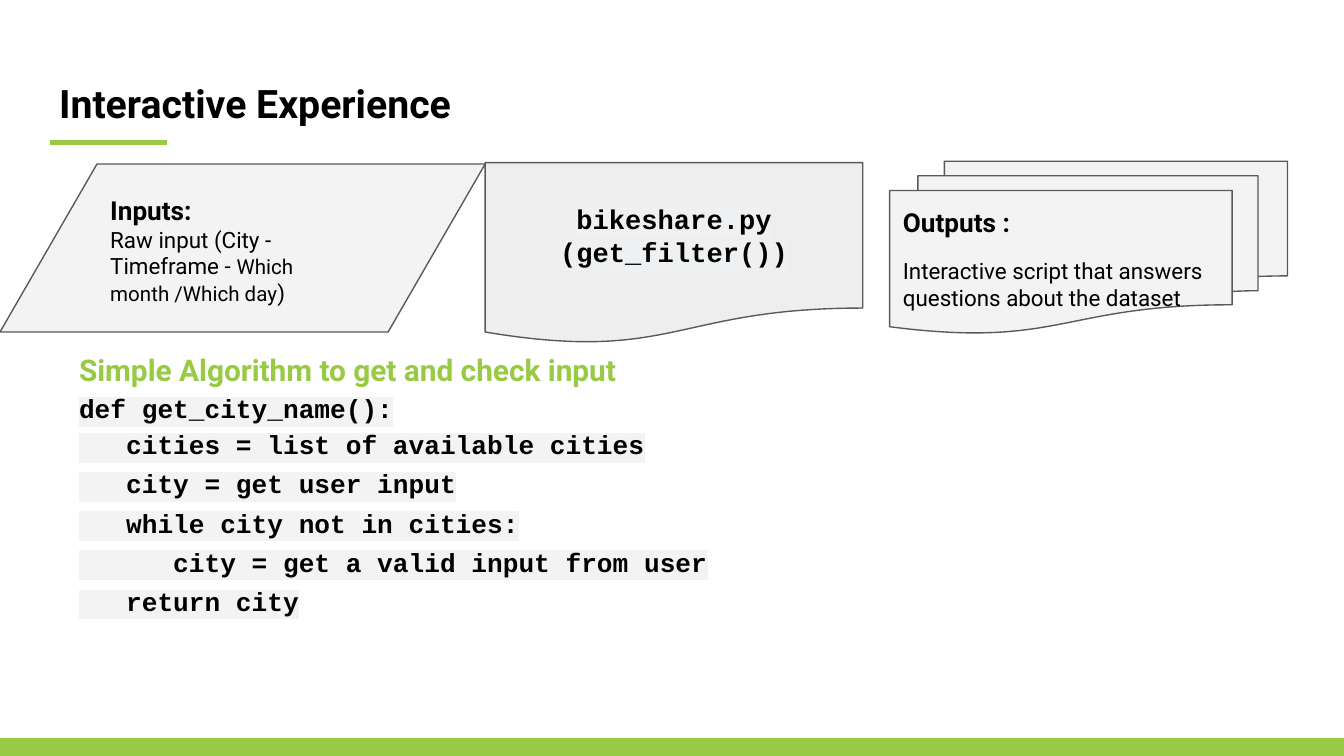
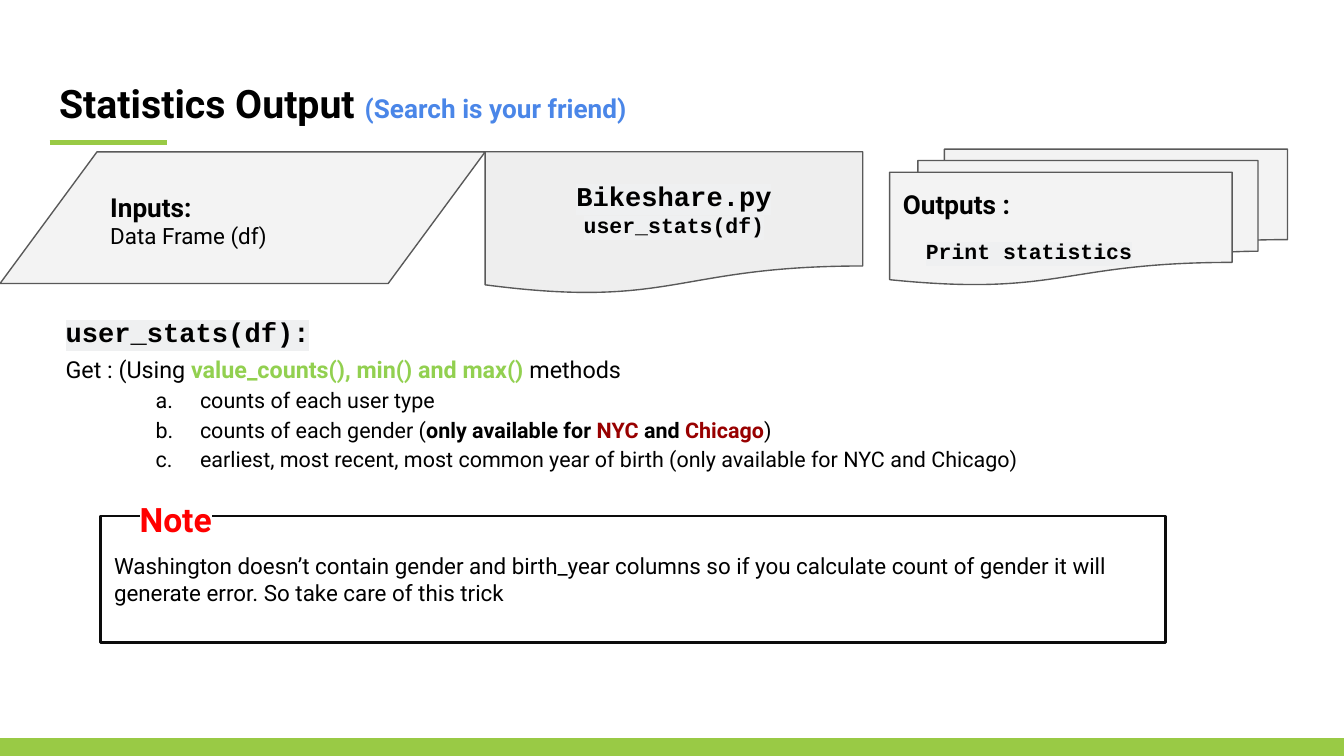
"""Builds two slides on an interactive bike share script and its statistics output."""
from dataclasses import dataclass
from typing import NamedTuple

from lxml.etree import SubElement
from pptx import Presentation
from pptx.dml.color import RGBColor
from pptx.enum.shapes import MSO_CONNECTOR, MSO_SHAPE
from pptx.enum.text import MSO_ANCHOR as Anchor, MSO_AUTO_SIZE, PP_ALIGN as Align
from pptx.oxml.ns import qn
from pptx.util import Inches, Pt


class Style(NamedTuple):
    size: float
    color: str = "000000"
    bold: bool = False
    font: str = "Roboto"
    highlight: str = ""


class Theme:
    green, white, pale, grey = "99CA45", "FFFFFF", "F3F3F3", "EEEEEE"
    outline, frame, black = "595959", "0C0C0C", "000000"
    red, mono, code_back = "980000", "Courier New", "EFF0F1"
    title = Style(21, bold=True)
    aside = Style(14, "4A86E8", True)
    label = Style(14, bold=True)
    body = Style(12)
    small = Style(11)
    heading = Style(16, green, True)
    code = Style(14, black, True, mono, pale)
    script = Style(14.5, black, True, mono, code_back)
    call = Style(11.5, black, True, mono, code_back)
    intro = Style(12.5, highlight=white)
    methods = Style(12.5, "92D050", True, highlight=white)
    item = Style(11.5, highlight=white)
    strong = item._replace(bold=True)
    city = strong._replace(color=red)
    note = Style(18, "FF0000", True, highlight=white)


@dataclass
class Line:
    runs: list
    spacing: float = 1.0
    before: float = 0
    indent: float = 0
    numbered: bool = False
    align: Align = Align.LEFT


def line(text, style, **options):
    return Line([(text, style)], **options)


def item(*runs):
    return Line(list(runs), spacing=1.15, indent=1, numbered=True)


INPUTS = line("Inputs:", Theme.label, spacing=1.15)
OUTPUTS = line("Outputs :", Theme.label)

INTERACTIVE = {
    "title": Line([("Interactive Experience", Theme.title)]),
    "flow": {
        "outputs": (1.2, 1.28, [
            OUTPUTS,
            line("Interactive script that answers questions about the dataset", Theme.body, before=10),
        ]),
        "inputs": (1.22, 1.25, [
            INPUTS,
            Line([("Raw input (City - Timeframe - ", Theme.body),
                  ("Which month /Which day", Theme.small), (")", Theme.body)]),
        ]),
        "script": (1.21, 1.35, [
            line("bikeshare.py", Theme.script, align=Align.CENTER),
            line("(get_filter())", Theme.script, align=Align.CENTER),
        ]),
    },
    "text_box": (0.49, 2.48, 9.17, 2.23),
    "text": [
        line("Simple Algorithm to get and check input", Theme.heading, spacing=1.15),
        line("def get_city_name():", Theme.code, spacing=1.15),
        line("   cities = list of available cities", Theme.code, spacing=1.15),
        line("   city = get user input", Theme.code, spacing=1.25),
        line("   while city not in cities:", Theme.code, spacing=1.25),
        line("      city = get a valid input from user", Theme.code, spacing=1.25),
        line("   return city", Theme.code, spacing=1.25),
    ],
}

STATISTICS = {
    "title": Line([("Statistics Output ", Theme.title), ("(Search is your friend)", Theme.aside)]),
    "flow": {
        "outputs": (1.11, 1.01, [
            OUTPUTS, line("Print statistics", Theme.call, before=10, indent=0.17),
        ]),
        "inputs": (1.13, 0.98, [INPUTS, line("Data Frame (df)", Theme.body)]),
        "script": (1.13, 1.06, [
            line("Bikeshare.py", Theme.script, align=Align.CENTER),
            line("user_stats(df)", Theme.call, align=Align.CENTER),
        ]),
    },
    "text_box": (0.39, 2.19, 9.17, 1.38),
    "text": [
        line("user_stats(df):", Theme.script, spacing=1.25),
        Line([("Get : (Using ", Theme.intro), ("value_counts(), min() and max()", Theme.methods),
              (" methods", Theme.intro)], spacing=1.25),
        item(("counts of each user type", Theme.item)),
        item(("counts of each gender (", Theme.item), ("only available for ", Theme.strong),
             ("NYC ", Theme.city), ("and ", Theme.strong), ("Chicago", Theme.city), (")", Theme.item)),
        item(("earliest, most recent, most common year of birth "
              "(only available for NYC and Chicago)", Theme.item)),
    ],
}

NOTE_TITLE = line("Note", Theme.note)
NOTE = line("Washington doesn’t contain gender and birth_year columns so if you calculate count of "
            "gender it will generate error. So take care of this trick", Theme.body)

FLOW_SHAPES = {
    "outputs": (MSO_SHAPE.FLOWCHART_MULTIDOCUMENT, 6.62, 2.96, Theme.pale),
    "inputs": (MSO_SHAPE.FLOWCHART_DATA, 0, 3.61, Theme.pale),
    "script": (MSO_SHAPE.FLOWCHART_DOCUMENT, 3.61, 2.81, Theme.grey),
}


def rgb(color):
    return RGBColor.from_string(color)


def box(*lengths):
    return [Inches(length) for length in lengths]


def set_font(font, style):
    font.size = Pt(style.size)
    font.bold = style.bold
    font.color.rgb = rgb(style.color)
    font.name = style.font


def add_color(parent, tag, color):
    SubElement(SubElement(parent, qn(tag)), qn("a:srgbClr"), val=color)


def write_line(paragraph, content):
    paragraph.alignment = content.align
    paragraph.line_spacing = content.spacing
    paragraph.space_before = Pt(content.before)
    properties = paragraph._p.get_or_add_pPr()
    properties.set("marL", str(Inches(content.indent)))
    properties.set("indent", str(Inches(-0.33 if content.numbered else 0)))
    if content.numbered:
        add_color(properties, "a:buClr", Theme.black)
        SubElement(properties, qn("a:buAutoNum"), type="alphaLcPeriod")
    same_style = len({style for _, style in content.runs}) == 1
    if same_style:
        set_font(paragraph.font, content.runs[0][1])
    for text, style in content.runs:
        run = paragraph.add_run()
        run.text = text
        if style.highlight:
            add_color(run._r.get_or_add_rPr(), "a:highlight", style.highlight)
        if not same_style:
            set_font(run.font, style)


def write_text(shape, lines, anchor=Anchor.TOP, inset=0.1):
    frame = shape.text_frame
    frame.word_wrap = True
    frame.auto_size = MSO_AUTO_SIZE.NONE
    frame.vertical_anchor = anchor
    frame.margin_left = frame.margin_right = Inches(0.1)
    frame.margin_top = frame.margin_bottom = Inches(inset)
    for index, content in enumerate(lines):
        write_line(frame.add_paragraph() if index else frame.paragraphs[0], content)


def add_block(slide, kind, place, fill, outline, width=0.75):
    shape = slide.shapes.add_shape(kind, *box(*place))
    shape.shadow.inherit = False
    shape.fill.solid()
    shape.fill.fore_color.rgb = rgb(fill)
    shape.line.color.rgb = rgb(outline)
    shape.line.width = Pt(width)
    return shape


def add_text(slide, place, lines, inset=0.1):
    write_text(slide.shapes.add_textbox(*box(*place)), lines, inset=inset)


def add_frame(slide, title):
    placeholder = slide.shapes.title
    placeholder.left, placeholder.top, placeholder.width, placeholder.height = box(0.34, 0.49, 9.32, 0.63)
    write_text(placeholder, [title])
    rule = slide.shapes.add_connector(MSO_CONNECTOR.STRAIGHT, *box(0.37, 1.06, 1.24, 1.06))
    rule.line.color.rgb = rgb(Theme.green)
    rule.line.width = Pt(3)
    SubElement(rule._element.spPr, qn("a:effectLst"))
    for left in (0.02, 0):
        add_block(slide, MSO_SHAPE.RECTANGLE, (left, 5.5, 10 - left, 0.12), Theme.green, Theme.green)


def add_content_slide(presentation, content):
    slide = presentation.slides.add_slide(presentation.slide_layouts[5])
    add_frame(slide, content["title"])
    for name, (top, height, lines) in content["flow"].items():
        kind, left, width, fill = FLOW_SHAPES[name]
        shape = add_block(slide, kind, (left, top, width, height), fill, Theme.outline)
        write_text(shape, lines, Anchor.MIDDLE)
    add_text(slide, content["text_box"], content["text"])
    return slide


def add_note(slide):
    shape = add_block(slide, MSO_SHAPE.RECTANGLE, (0.75, 3.84, 7.92, 0.94), Theme.white, Theme.frame, 1.5)
    write_text(shape, [NOTE], Anchor.MIDDLE)
    add_text(slide, (0.94, 3.66, 1.33, 0.4), [NOTE_TITLE], inset=0.05)


def main():
    presentation = Presentation()
    presentation.slide_width = Inches(10)
    presentation.slide_height = Inches(10 * 9 / 16)
    add_content_slide(presentation, INTERACTIVE)
    add_note(add_content_slide(presentation, STATISTICS))
    presentation.save("out.pptx")


if __name__ == "__main__":
    main()
